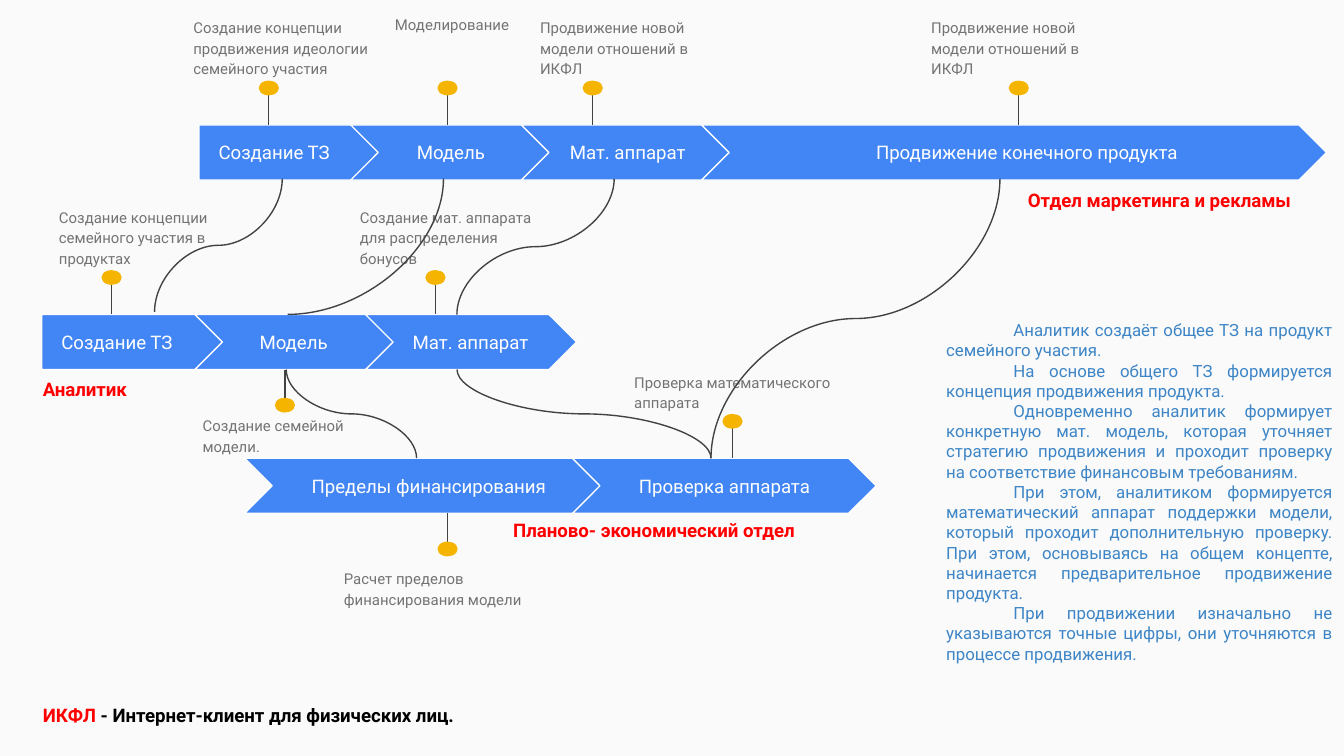
from lxml import etree
from pptx import Presentation
from pptx import util as u
from pptx.dml.color import RGBColor
from pptx.enum import shapes, text
from pptx.oxml.ns import qn

COLS, ROWS = 100, 56.25  # grid of the slide
BAR_H = 4.1
BLUE, AMBER, GREY, RED = "4285F4", "F4B400", "424242", "FF0000"

# Text formats
LABEL = dict(size=10, color="FFFFFF", anchor=text.MSO_ANCHOR.MIDDLE,
             para=dict(alignment=text.PP_ALIGN.CENTER))
NOTE = dict(size=8, color="737373", para=dict(line_spacing=1.15))
HEAD = dict(size=10, color=RED, bold=True)
BODY = dict(size=9, color="3D85C6", para=dict(
    alignment=text.PP_ALIGN.JUSTIFY, line_spacing=1.0, space_before=u.Pt(0)))

# Lanes: top, steps (left, width, label left, label width, label),
# pins (x, side, note left, note top, note width, note)
LANES = [
    (23.4,
     [(3.1, 14.4, 3.1, 11.2, "Создание ТЗ"),
      (14.5, 15.7, 16.8, 10.1, "Модель"),
      (27.2, 15.7, 29.4, 11.2, "Мат. аппарат")],
     [(8.3, "up", 3.4, 14.3, 15.7, "Создание концепции семейного участия в продуктах"),
      (21.2, "down", 14.1, 29.8, 15.7, "Создание семейной модели."),
      (32.4, "up", 25.8, 14.3, 15.7, "Создание мат. аппарата для распределения бонусов")]),
    (34.1,
     [(18.2, 27.6, 20.6, 22.6, "Пределы финансирования"),
      (42.6, 22.6, 44.9, 18, "Проверка аппарата")],
     [(33.3, "down", 24.6, 41.2, 15.7, "Расчет пределов финансирования модели"),
      (54.5, "up", 46.2, 26.6, 18.5, "Проверка математического аппарата")]),
    (9.3,
     [(14.8, 14.4, 14.8, 11.2, "Создание ТЗ"),
      (26.1, 15.7, 28.5, 10.1, "Модель"),
      (38.8, 15.7, 41.1, 11.2, "Мат. аппарат"),
      (52.2, 46.5, 59.4, 34, "Продвижение конечного продукта")],
     [(20, "up", 13.4, 0.2, 15.7,
       "Создание концепции продвижения идеологии семейного участия"),
      (33.3, "up", 28.4, 0.2, 15.7, "Моделирование"),
      (44.1, "up", 39.2, 0.2, 15.7, "Продвижение новой модели отношений в ИКФЛ"),
      (75.8, "up", 68.3, 0.2, 15.7, "Продвижение новой модели отношений в ИКФЛ")]),
]

# Curved links between lanes: x1, y1, x2, y2
LINKS = [(11.5, 23.2, 21, 13.3), (34, 23.4, 45.7, 13.3),
         (21.3, 27.5, 31, 34.1), (34, 27.5, 52.9, 34.1),
         (52.9, 34.1, 74.4, 13.3)]

HEADS = [(75.5, 13.2, "Отдел маркетинга и рекламы"),
         (2.2, 27.3, "Аналитик"),
         (37.2, 37.8, "Планово- экономический отдел")]

STORY = [
    "Аналитик создаёт общее ТЗ на продукт семейного участия.",
    "На основе общего ТЗ формируется концепция продвижения продукта.",
    "Одновременно аналитик формирует конкретную мат. модель, которая уточняет "
    "стратегию продвижения и проходит проверку на соответствие финансовым требованиям.",
    "При этом, аналитиком формируется математический аппарат поддержки модели, "
    "который проходит дополнительную проверку. При этом, основываясь на общем "
    "концепте, начинается предварительное продвижение продукта.",
    "При продвижении изначально не указываются точные цифры, они уточняются "
    "в процессе продвижения.",
]


def rgb(hex_str):
    return RGBColor.from_string(hex_str)


class Board:
    """Style and current slide; lengths are grid columns and rows."""
    font = "Roboto"

    def __init__(self, prs):
        self.cw, self.rh = prs.slide_width / COLS, prs.slide_height / ROWS
        self.s = prs.slides.add_slide(prs.slide_layouts[1])
        self.s.background.fill.solid()
        self.s.background.fill.fore_color.rgb = rgb("FAFAFA")

    def at(self, *grid):
        return [u.Emu(round(v * (self.rh if i % 2 else self.cw)))
                for i, v in enumerate(grid)]

    def fill_text(self, sp, paras, fmt):
        """Fill a text frame; each paragraph is a list of (text, colour) runs."""
        tf = sp.text_frame
        frame = dict(word_wrap=True, vertical_anchor=fmt.get("anchor", text.MSO_ANCHOR.TOP))
        frame.update({f"margin_{side}": u.Inches(0.1)
                      for side in ("left", "top", "right", "bottom")})
        for key, value in frame.items():
            setattr(tf, key, value)
        for i, runs in enumerate(paras):
            p = tf.add_paragraph() if i else tf.paragraphs[0]
            for key, value in fmt.get("para", {}).items():
                setattr(p, key, value)
            for words, color in runs:
                r = p.add_run()
                r.text = words
                for key, value in dict(name=self.font, size=u.Pt(fmt["size"]),
                                       bold=fmt.get("bold", False)).items():
                    setattr(r.font, key, value)
                r.font.color.rgb = rgb(color or fmt["color"])
        return tf

    def box(self, x, y, w, h, runs, fmt):
        if isinstance(runs, str):
            runs = [(runs, None)]
        self.fill_text(self.s.shapes.add_textbox(*self.at(x, y, w, h)), [runs], fmt)

    def shape(self, kind, x, y, w, h, fill, line=None):
        sp = self.s.shapes.add_shape(kind, *self.at(x, y, w, h))
        sp.shadow.inherit = False
        sp.fill.solid()
        sp.fill.fore_color.rgb = rgb(fill)
        if line:
            sp.line.color.rgb, sp.line.width = rgb(line), u.Pt(0.75)
        else:
            sp.line.fill.background()

    def line(self, x1, y1, x2, y2, kind=shapes.MSO_CONNECTOR.STRAIGHT):
        c = self.s.shapes.add_connector(kind, *self.at(x1, y1, x2, y2))
        c.line.color.rgb, c.line.width = rgb(GREY), u.Pt(0.75)
        etree.SubElement(c._element.spPr, qn("a:effectLst"))
        return c

    def s_curve(self, x1, y1, x2, y2):
        """S-shaped link that leaves vertically: a curve turned by 270 degrees."""
        cx, cy = (x1 + x2) / 2, (y1 + y2) / 2
        dx, dy = (x2 - x1) / 2, (y1 - y2) / 2
        c = self.line(cx - dy, cy - dx, cx + dy, cy + dx, shapes.MSO_CONNECTOR.CURVE)
        c._element.spPr.find(qn("a:xfrm")).set("rot", str(270 * 60000))

    def quarter_curve(self, x1, y1, x2, y2):
        c = self.line(x1, y1, x2, y2, shapes.MSO_CONNECTOR.CURVE)
        c._element.spPr.find(qn("a:prstGeom")).set("prst", "curvedConnector2")

    def pin(self, x, top, side):
        if side == "up":
            end, start, dot = top - 3, top, top - 3.3
        else:
            end, start, dot = top + 7.1, top + BAR_H, top + 6.2
        self.line(x, end, x, start)
        self.shape(shapes.MSO_SHAPE.OVAL, x - 0.75, dot, 1.5, 1.1, AMBER)

    def body(self, x, y, w, h, paras):
        title = self.s.shapes.title._element
        title.getparent().remove(title)
        sp = self.s.placeholders[1]
        sp.left, sp.top, sp.width, sp.height = self.at(x, y, w, h)
        tf = self.fill_text(sp, [[(words, None)] for words in paras], BODY)
        tf.auto_size = text.MSO_AUTO_SIZE.NONE
        for p in tf.paragraphs:
            pPr = p._p.get_or_add_pPr()
            pPr.set("marL", "0")
            pPr.set("indent", str(u.Inches(0.5)))
            etree.SubElement(pPr, qn("a:buNone"))


def main():
    prs = Presentation()
    prs.slide_width = u.Inches(10)
    prs.slide_height = prs.slide_width * 9 // 16
    b = Board(prs)

    # Lanes with steps, pins and notes
    for top, steps, pins in LANES:
        for x, w, label_x, label_w, label in steps:
            first = x == label_x
            kind = shapes.MSO_SHAPE.PENTAGON if first else shapes.MSO_SHAPE.CHEVRON
            b.shape(kind, x, top, w, BAR_H, BLUE, "FFFFFF")
            b.box(label_x, top + 0.75, label_w, 2.6, label, LABEL)
        for x, side, note_x, note_y, note_w, note in pins:
            b.pin(x, top, side)
            b.box(note_x, note_y, note_w, 6 if side == "up" else 4.9, note, NOTE)

    # Links between lanes
    for link in LINKS:
        b.s_curve(*link)
    b.quarter_curve(21.4, 23.4, 33, 13.3)

    # Department names, explanation and abbreviation
    for x, y, name in HEADS:
        b.box(x, y, 30.7, 3.7, name, HEAD)
    b.body(69.4, 22.8, 30.7, 27.8, STORY)
    b.box(2.2, 51.5, 44.4, 3.7,
          [("ИКФЛ", RED), (" - Интернет-клиент для физических лиц.", "000000")], HEAD)

    prs.save("out.pptx")


if __name__ == "__main__":
    main()
